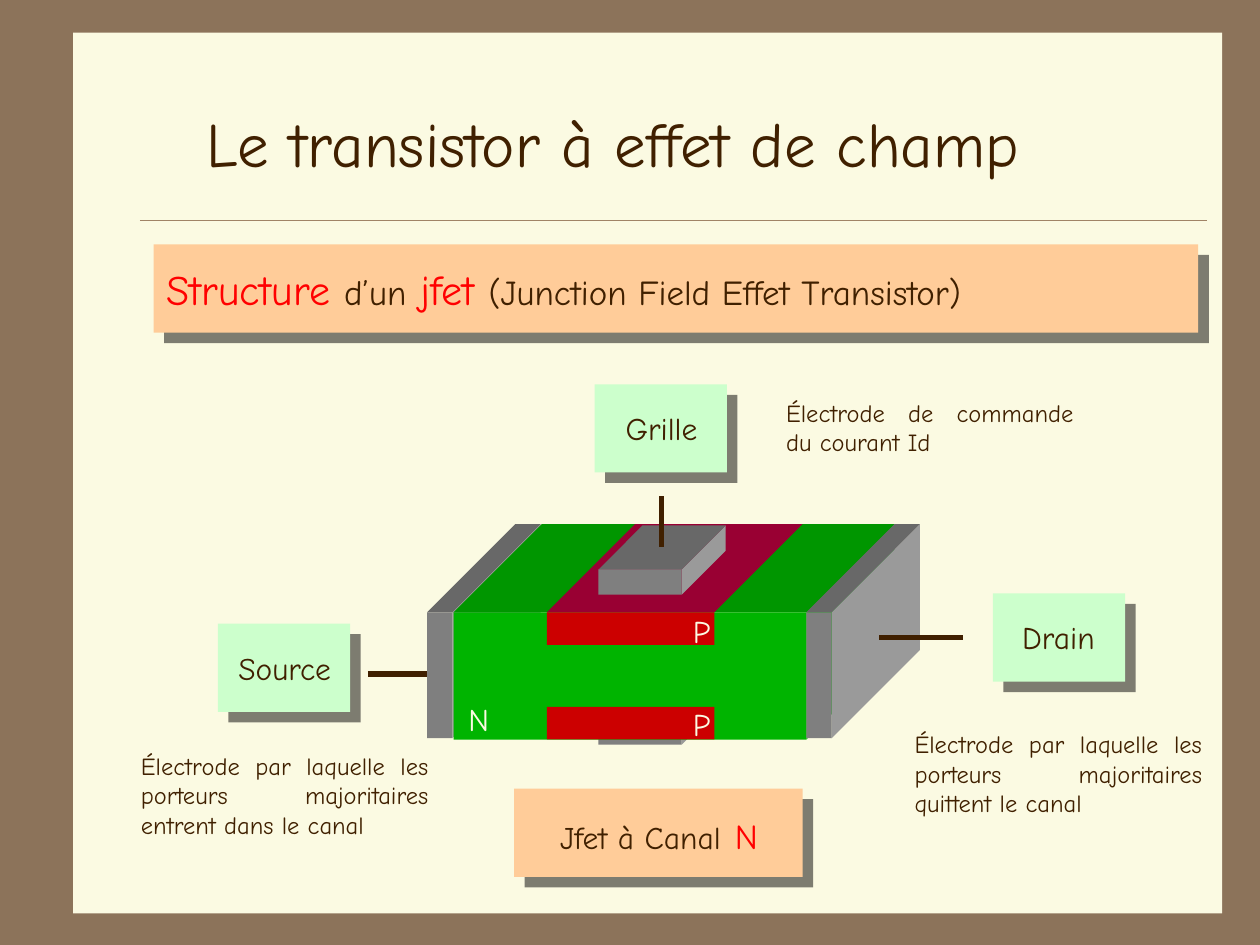
from lxml import etree
from pptx import Presentation
from pptx import util as u
from pptx.dml.color import RGBColor
from pptx.enum import shapes, text
from pptx.oxml.ns import qn

FONT = "Comic Neue"
INK, PAPER, RED, PEACH, MINT = "402000", "FBFAE2", "FF0000", "FFCC99", "CCFFCC"
GREY = ("7F7F7F", "686868", "9A9A9A")
GREEN = ("00B400", "009600", "00B400")
LEFT, CENTER, JUSTIFY = text.PP_ALIGN.LEFT, text.PP_ALIGN.CENTER, text.PP_ALIGN.JUSTIFY
DEPTH, GATE_DEPTH = 0.7, 0.35
FRONT_TOP, FRONT_HEIGHT = 4.86, 1.01
CHANNEL_LEFT, CHANNEL_WIDTH, JUNCTION_HEIGHT = 4.34, 1.33, 0.26

TITLE = "Le transistor à effet de champ"
BANNER = [("Structure ", 24, RED), ("d’un", 20, INK), (" jfet ", 24, RED),
          ("(Junction Field Effet Transistor)", 20, INK)]
CAPTION = [("Jfet à Canal", 18, INK), (" ", 24, RED), ("N", 20, RED)]
ELECTRODES = [
    ("Grille", (4.72, 3.05), (4.79, 0.92), (6.14, 3.11, 2.48, 0.57),
     "Électrode de commande du courant Id"),
    ("Source", (1.73, 4.95), (1.71, 1.1), (1.02, 5.91, 2.48, 0.8),
     "Électrode par laquelle les porteurs majoritaires entrent dans le canal"),
    ("Drain", (7.88, 4.71), (7.94, 0.92), (7.16, 5.74, 2.48, 0.8),
     "Électrode par laquelle les porteurs majoritaires quittent le canal"),
]
DOPING = [("N", 3.62, 5.51, 0.46), ("P", 5.4, 5.55, 0.36), ("P", 5.4, 4.81, 0.36)]

deck = Presentation()
deck.slide_width, deck.slide_height = u.Inches(10), u.Inches(7.5)
page = deck.slides.add_slide(deck.slide_layouts[5])


def color(value):
    return RGBColor.from_string(value)


def paint(shape, fill):
    shape.shadow.inherit = False
    shape.fill.solid()
    shape.fill.fore_color.rgb = color(fill)
    shape.line.fill.background()
    return shape


def rectangle(left, top, width, height, fill):
    frame = map(u.Inches, (left, top, width, height))
    return paint(page.shapes.add_shape(shapes.MSO_SHAPE.RECTANGLE, *frame), fill)


def polygon(points, fill):
    points = [(u.Inches(x), u.Inches(y)) for x, y in points]
    builder = page.shapes.build_freeform(*points[0])
    builder.add_line_segments(points[1:], close=True)
    return paint(builder.convert_to_shape(), fill)


def top_face(left, top, width, depth, fill):
    polygon([(left, top), (left + depth, top - depth),
             (left + width + depth, top - depth), (left + width, top)], fill)


def block(left, top, width, height, depth, tones):
    front, lid, side = tones
    right, bottom = left + width, top + height
    polygon([(right, top), (right + depth, top - depth),
             (right + depth, bottom - depth), (right, bottom)], side)
    top_face(left, top, width, depth, lid)
    rectangle(left, top, width, height, front)


def line(start, end, stroke, weight):
    connector = page.shapes.add_connector(
        shapes.MSO_CONNECTOR.STRAIGHT, *map(u.Inches, start + end))
    connector.line.color.rgb = color(stroke)
    connector.line.width = u.Pt(weight)
    etree.SubElement(connector.element.spPr, qn("a:effectLst"))


def card(left, top, width, height, fill):
    shape = rectangle(left, top, width, height, fill)
    effects = shape.element.spPr.find(qn("a:effectLst"))
    shadow = etree.SubElement(effects, qn("a:outerShdw"), dist=str(u.Pt(8.5)),
                              dir="2700000", algn="ctr", rotWithShape="0")
    tint = etree.SubElement(shadow, qn("a:srgbClr"), val="000000")
    etree.SubElement(tint, qn("a:alpha"), val="50000")


def write(box, spans, align, wrap=True):
    box.text_frame.word_wrap = wrap
    box.text_frame.vertical_anchor = text.MSO_ANCHOR.TOP
    para = box.text_frame.paragraphs[0]
    para.alignment = align
    para.font.name = FONT
    for words, size, ink in spans:
        span = para.add_run()
        span.text = words
        span.font.name = FONT
        span.font.size = u.Pt(size)
        span.font.color.rgb = color(ink)


def label(left, top, width, height, spans, align):
    box = page.shapes.add_textbox(*map(u.Inches, (left, top, width, height)))
    write(box, spans, align)


background = page.background.fill
background.solid()
background.fore_color.rgb = color("8C735A")
paper = rectangle(0.58, 0.26, 9.12, 6.99, PAPER)
title = page.shapes.title
title.element.addprevious(paper.element)
title.left, title.top, title.width, title.height = map(u.Inches, (1.54, 0.78, 7.43, 0.7))
write(title, [(TITLE, 36, INK)], LEFT, wrap=False)
title.text_frame.auto_size = text.MSO_AUTO_SIZE.NONE
line((1.11, 1.75), (9.58, 1.75), "A08366", 0.25)

card(1.22, 1.94, 8.29, 0.7, PEACH)
label(1.22, 2.04, 8.22, 0.5, BANNER, JUSTIFY)
card(4.08, 6.26, 2.29, 0.7, PEACH)
label(4.14, 6.36, 2.18, 0.5, CAPTION, CENTER)

line((2.92, 5.35), (3.57, 5.35), INK, 3)
block(3.39, FRONT_TOP, 0.2, 1, DEPTH, GREY)
block(4.75, 5.71, 0.66, 0.2, GATE_DEPTH, GREY)
block(3.6, FRONT_TOP, 2.8, FRONT_HEIGHT, DEPTH, GREEN)
top_face(CHANNEL_LEFT, FRONT_TOP, CHANNEL_WIDTH, DEPTH, "990033")
for junction_top in (FRONT_TOP, FRONT_TOP + FRONT_HEIGHT - JUNCTION_HEIGHT):
    rectangle(CHANNEL_LEFT, junction_top, CHANNEL_WIDTH, JUNCTION_HEIGHT, "CC0000")
for letter, left, top, width in DOPING:
    label(left, top, width, 0.4, [(letter, 18, PAPER)], JUSTIFY)
block(6.4, FRONT_TOP, 0.2, 1, DEPTH, GREY)
line((6.98, 5.06), (7.64, 5.06), INK, 3)
block(4.75, 4.52, 0.66, 0.2, GATE_DEPTH, GREY)
line((5.25, 4.34), (5.25, 3.94), INK, 3)

for name, (left, top), (text_left, text_width), note_frame, note in ELECTRODES:
    card(left, top, 1.05, 0.7, MINT)
    label(text_left, top + 0.15, text_width, 0.4, [(name, 18, INK)], CENTER)
    label(*note_frame, [(note, 14, INK)], JUSTIFY)

deck.save("out.pptx")
